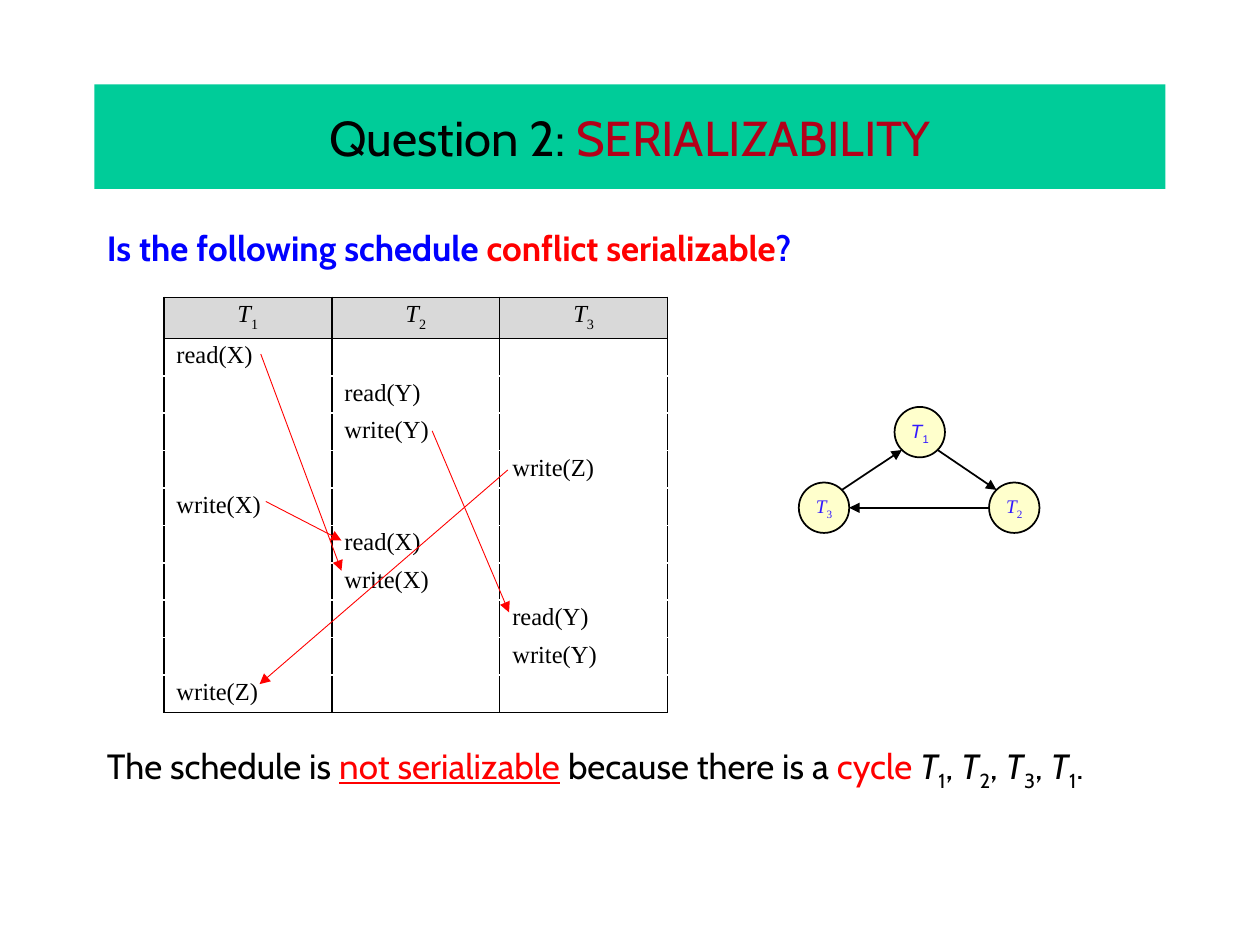
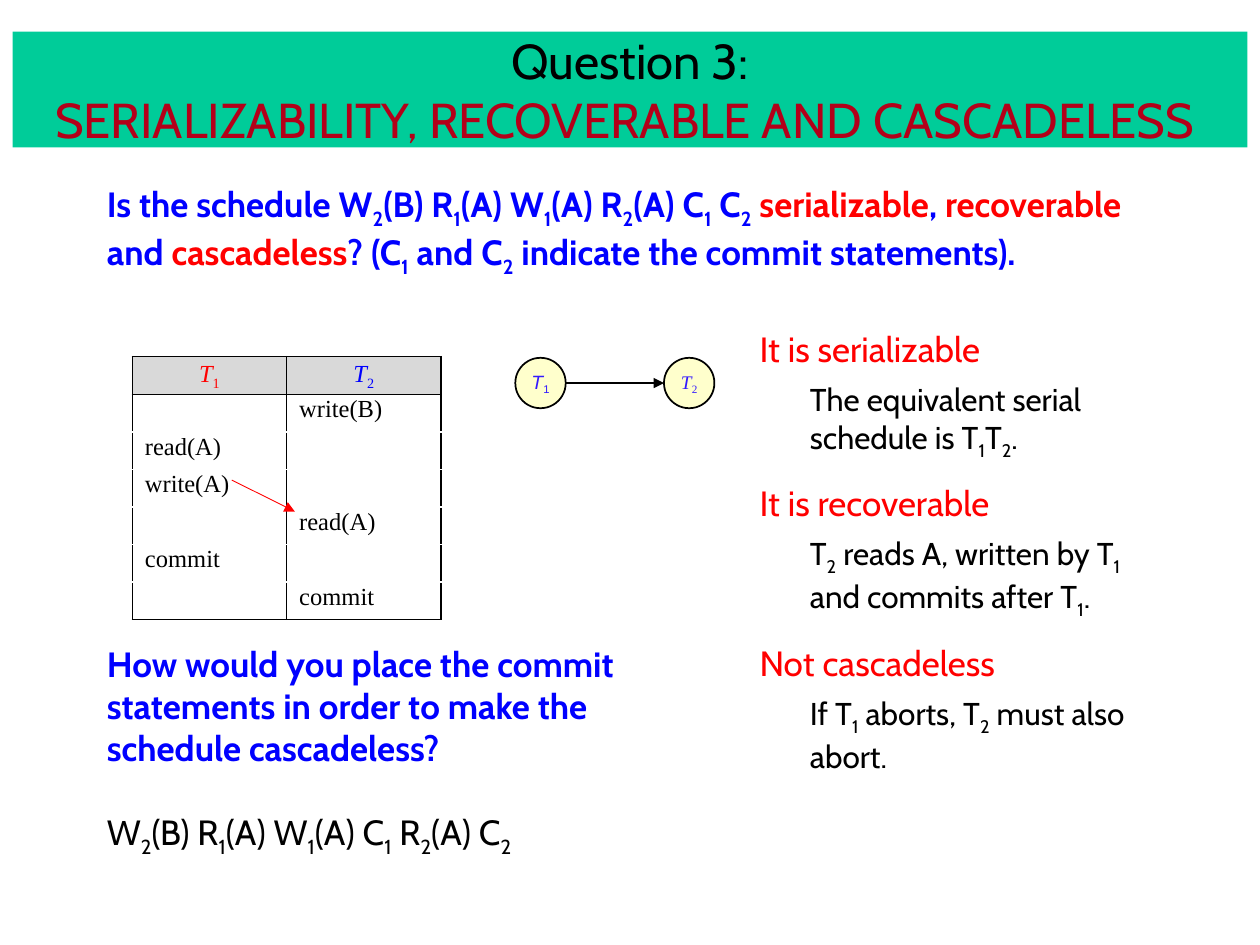
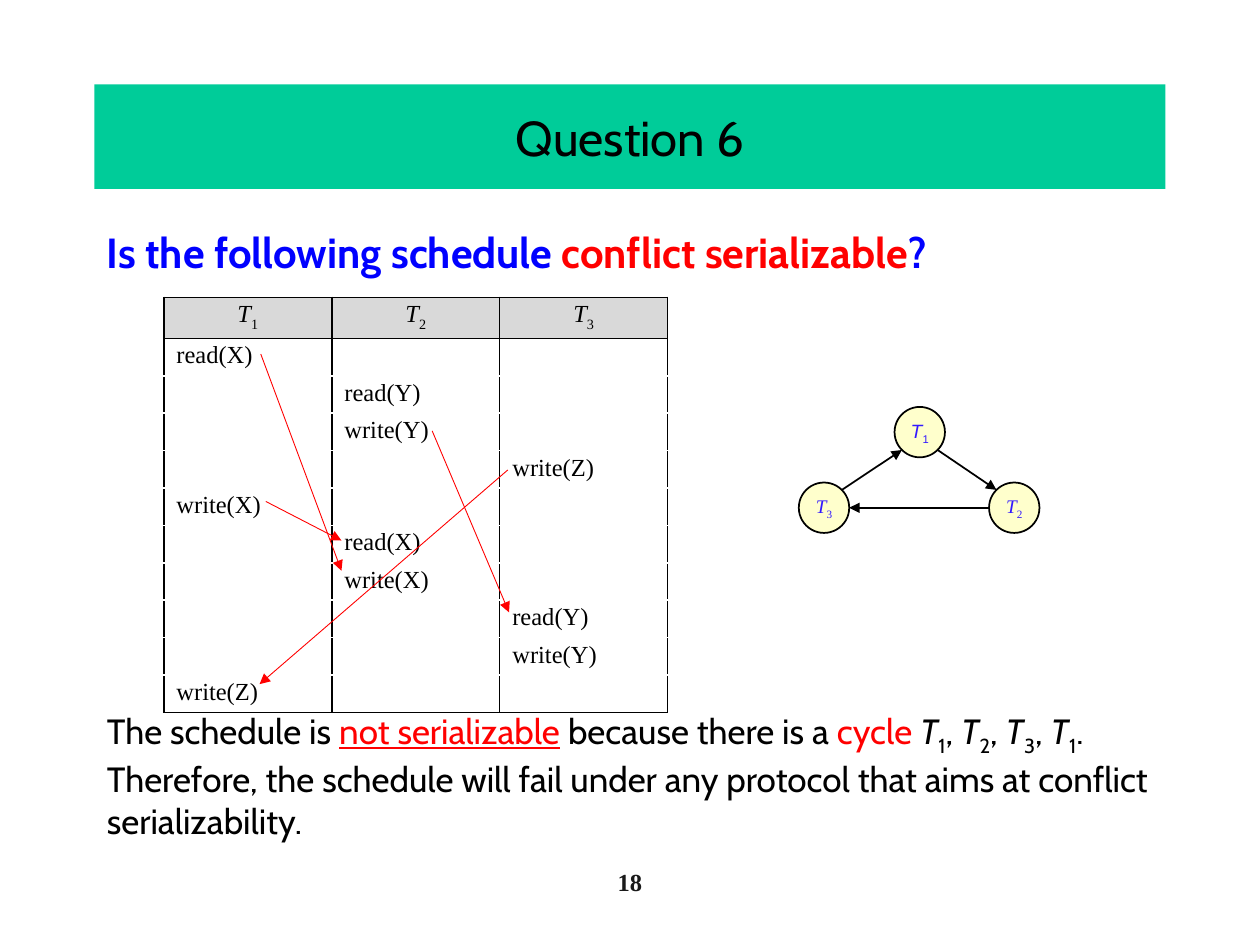
import itertools
import math

import lxml.etree
import pptx
import pptx.dml.color
import pptx.enum.shapes
import pptx.enum.text
import pptx.oxml.ns
import pptx.util

WIDTH, HEIGHT = 10, 7.5
COLUMNS = 100
UNIT = WIDTH / COLUMNS

BLACK, WHITE, RED, BLUE = "000000", "FFFFFF", "FF0000", "0000FF"
BAND, CRIMSON, HEADER_GRAY = "00CC99", "B30019", "D9D9D9"
NODE_FILL, NODE_TEXT, PAGE_TEXT = "FFFFCC", "3319FF", "1A1A1A"

TITLE = {"name": "Cabin", "size": pptx.util.Pt(28), "color": BLACK}
ANSWER = {"name": "Cabin", "size": pptx.util.Pt(20), "color": BLACK}
DETAIL = ANSWER | {"size": pptx.util.Pt(18)}
QUESTION = ANSWER | {"color": BLUE, "bold": True}
LARGE_QUESTION = QUESTION | {"size": pptx.util.Pt(24)}
CELL = {"name": "Times New Roman", "size": pptx.util.Pt(14), "color": BLACK}
NODE = {"size": pptx.util.Pt(11), "color": NODE_TEXT, "italic": True}
PAGE = CELL | {"color": PAGE_TEXT, "bold": True}

IN_RED = {"color": RED}
ITALIC = {"italic": True}
CENTERED = {"alignment": pptx.enum.text.PP_ALIGN.CENTER}
MIDDLE = {"vertical_anchor": pptx.enum.text.MSO_ANCHOR.MIDDLE}

TITLE_PLACE = (7.5, 6.7, 85, 8.3)
BODY_PLACE = (7.5, 17.5, 85, 48.3)
NODE_SIZE = 4

CONFLICT_QUESTION = [("Is the following schedule ", {}), ("conflict serializable", IN_RED), ("?", {})]
CYCLE_ANSWER = [
    ("The schedule is ", {}),
    ("not serializable", IN_RED | {"underline": True}),
    (" because there is a ", {}),
    ("cycle ", IN_RED),
    ("T_1", ITALIC), (", ", {}),
    ("T_2", ITALIC), (", ", {}),
    ("T_3", ITALIC), (", ", {}),
    ("T_1", ITALIC),
]
CYCLE_STEPS = [
    (0, "read(X)"), (1, "read(Y)"), (1, "write(Y)"), (2, "write(Z)"), (0, "write(X)"),
    (1, "read(X)"), (1, "write(X)"), (2, "read(Y)"), (2, "write(Y)"), (0, "write(Z)"),
]
CYCLE_CONFLICTS = [
    ((20.7, 28.1), (27.1, 45.3)),
    ((21.1, 39.8), (27.1, 42.9)),
    ((34.3, 34.2), (40.4, 48.6)),
    ((40.3, 37.3), (20.6, 54.3)),
]
CYCLE_NODES = {1: (73, 34.3), 2: (80.5, 40.3), 3: (65.4, 40.3)}
CASCADE_STEPS = [
    (1, "write(B)"), (0, "read(A)"), (0, "write(A)"),
    (1, "read(A)"), (0, "commit"), (1, "commit"),
]
VERDICTS = [
    ("It is serializable", "The equivalent serial schedule is T_1T_2."),
    ("It is recoverable", "T_2 reads A, written by T_1 and commits after T_1."),
    ("Not cascadeless", "If T_1 aborts, T_2 must also abort."),
]


def grid(*lengths):
    """Turn grid units into slide lengths."""
    return [pptx.util.Inches(length * UNIT) for length in lengths]


def rgb(color):
    """Turn a hex string into a colour."""
    return pptx.dml.color.RGBColor.from_string(color)


def apply_format(target, values):
    """Set every named attribute of the target."""
    for name, value in values.items():
        setattr(target, name, value)


def split_subscripts(text):
    """Yield text parts, with a flag for the digit after each underscore."""
    first, *others = text.split("_")
    yield first, False
    for part in others:
        yield part[0], True
        yield part[1:], False


def write_runs(paragraph, pieces, base, layout=None):
    """Fill a paragraph with formatted pieces and subscripts."""
    apply_format(paragraph, layout or {})
    for text, changes in pieces:
        if text == "\n":
            paragraph.add_line_break()
            continue
        values = base | changes
        color = values.pop("color")
        for part, lowered in split_subscripts(text):
            if not part:
                continue
            run = paragraph.add_run()
            run.text = part
            apply_format(run.font, values)
            run.font.color.rgb = rgb(color)
            if lowered:
                run.font.italic = False
                run._r.get_or_add_rPr().set("baseline", "-25000")


def add_text(slide, place, pieces, base, layout=None):
    """Add a wrapping text box and return its frame."""
    frame = slide.shapes.add_textbox(*grid(*place)).text_frame
    frame.word_wrap = True
    write_runs(frame.paragraphs[0], pieces, base, layout)
    return frame


def add_panel(slide, kind, place, fill):
    """Add a filled preset shape without line or shadow."""
    shape = slide.shapes.add_shape(kind, *grid(*place))
    shape.shadow.inherit = False
    shape.fill.solid()
    shape.fill.fore_color.rgb = rgb(fill)
    shape.line.fill.background()
    return shape


def add_title(slide, pieces, place=TITLE_PLACE):
    """Add the title band."""
    band = add_panel(slide, pptx.enum.shapes.MSO_SHAPE.RECTANGLE, place, BAND)
    apply_format(band.text_frame, MIDDLE | {"word_wrap": True})
    write_runs(band.text_frame.paragraphs[0], pieces, TITLE, CENTERED)


def add_node(slide, number, center):
    """Add a transaction node around its center."""
    left, top = (value - NODE_SIZE / 2 for value in center)
    place = (left, top, NODE_SIZE, NODE_SIZE)
    node = add_panel(slide, pptx.enum.shapes.MSO_SHAPE.OVAL, place, NODE_FILL)
    node.line.color.rgb = rgb(BLACK)
    node.line.width = pptx.util.Pt(1)
    apply_format(node.text_frame, MIDDLE | {"word_wrap": False, "margin_left": 0, "margin_right": 0})
    font = "Arial" if number == 1 else "Times New Roman"
    write_runs(node.text_frame.paragraphs[0], [(f"T_{number}", {})], NODE | {"name": font}, CENTERED)


def add_arrow(slide, start, end, color, width):
    """Add a straight arrow between two grid points."""
    straight = pptx.enum.shapes.MSO_CONNECTOR.STRAIGHT
    arrow = slide.shapes.add_connector(straight, *grid(*start, *end))
    arrow.line.color.rgb = rgb(color)
    arrow.line.width = pptx.util.Pt(width)
    name = pptx.oxml.ns.qn
    lxml.etree.SubElement(arrow.line._get_or_add_ln(), name("a:tailEnd"), type="triangle")
    lxml.etree.SubElement(arrow._element.spPr, name("a:effectLst"))


def add_conflicts(slide, conflicts):
    """Draw red arrows between conflicting operations."""
    for start, end in conflicts:
        add_arrow(slide, start, end, RED, 0.5)


def add_graph(slide, nodes, edges):
    """Draw a precedence graph with arrows from rim to rim."""
    for number, center in nodes.items():
        add_node(slide, number, center)
    for source, target in edges:
        pairs = list(zip(nodes[source], nodes[target]))
        signs = [(end > start) - (end < start) for start, end in pairs]
        reach = NODE_SIZE / 2 / math.hypot(*signs)
        start = [value + sign * reach for value, sign in zip(nodes[source], signs)]
        end = [value - sign * reach for value, sign in zip(nodes[target], signs)]
        add_arrow(slide, start, end, BLACK, 1)


def set_borders(cell, colors):
    """Give a cell its left, right, top and bottom borders."""
    properties = cell._tc.get_or_add_tcPr()
    name = pptx.oxml.ns.qn
    for index, (side, color) in enumerate(zip("LRTB", colors)):
        line = lxml.etree.Element(name(f"a:ln{side}"), w=str(pptx.util.Pt(1)))
        fill = lxml.etree.SubElement(line, name("a:solidFill"))
        lxml.etree.SubElement(fill, name("a:srgbClr"), val=color)
        properties.insert(index, line)


def add_schedule(slide, place, header_height, steps, header_colors, spacing=1.0):
    """Add a schedule table with one operation per row."""
    left, top, width, height = place
    count = len(header_colors)
    shape = slide.shapes.add_table(len(steps) + 1, count, *grid(left, top, width, height))
    table = shape.table
    apply_format(table, {"first_row": False, "horz_banding": False})
    for column in table.columns:
        column.width = grid(width / count)[0]
    for row in table.rows:
        row.height = grid((height - header_height) / len(steps))[0]
    table.rows[0].height = grid(header_height)[0]
    margins = dict(zip(("margin_left", "margin_top", "margin_right", "margin_bottom"), grid(1, 0.3, 1, 0.3)))
    operations = {(row, column): text for row, (column, text) in enumerate(steps, 1)}
    for row, column in itertools.product(range(len(steps) + 1), range(count)):
        cell = table.cell(row, column)
        apply_format(cell, margins)
        paragraph = cell.text_frame.paragraphs[0]
        layout = {"line_spacing": spacing}
        if row == 0:
            cell.fill.solid()
            cell.fill.fore_color.rgb = rgb(HEADER_GRAY)
            heading = CELL | ITALIC | {"color": header_colors[column]}
            write_runs(paragraph, [(f"T_{column + 1}", {})], heading, layout | CENTERED)
        else:
            cell.fill.background()
            write_runs(paragraph, [(operations.get((row, column), ""), {})], CELL, layout)
        paragraph._p.get_or_add_endParaRPr().set("sz", "1400")
        upper = BLACK if row <= 1 else WHITE
        lower = BLACK if row in (0, len(steps)) else WHITE
        set_borders(cell, (BLACK, BLACK, upper, lower))


def add_cycle_slide(slide, title, question, answer_top, ending):
    """Build a slide on the schedule whose graph has a cycle."""
    add_title(slide, title)
    add_text(slide, BODY_PLACE, CONFLICT_QUESTION, question)
    add_schedule(slide, (13, 23.6, 40, 32.7), 3, CYCLE_STEPS, [BLACK] * 3)
    add_text(slide, (7.5, answer_top, 85, 12.2), CYCLE_ANSWER + [(ending, {})], ANSWER)
    add_graph(slide, CYCLE_NODES, [(3, 1), (1, 2), (2, 3)])
    add_conflicts(slide, CYCLE_CONFLICTS)


def add_verdicts(slide, place):
    """List each verdict with its indented reason."""
    frame = add_text(slide, place, [], ANSWER)
    for index, (verdict, reason) in enumerate(VERDICTS):
        heading = frame.add_paragraph() if index else frame.paragraphs[0]
        gap = pptx.util.Pt(12 if index else 0)
        write_runs(heading, [(verdict, IN_RED)], ANSWER, {"space_before": gap})
        detail = frame.add_paragraph()
        write_runs(detail, [(reason, {})], DETAIL, {"space_before": pptx.util.Pt(6)})
        detail._p.get_or_add_pPr().set("marL", str(grid(4)[0]))


def add_cascade_slide(slide):
    """Build the slide on recoverable and cascadeless schedules."""
    title = [
        ("Question 3:", {}), ("\n", {}),
        ("SERIALIZABILITY, RECOVERABLE AND CASCADELESS ", {"color": CRIMSON}),
    ]
    add_title(slide, title, (1, 2.5, 98, 9.2))
    question = [
        ("Is the schedule W_2(B) R_1(A) W_1(A) R_2(A) C_1 C_2 ", {}),
        ("serializable", IN_RED), (", ", {}),
        ("recoverable", IN_RED), (" and ", {}),
        ("cascadeless", IN_RED),
        ("? (C_1 and C_2 indicate the commit statements).", {}),
    ]
    add_text(slide, (7.5, 14, 85, 11.1), question, QUESTION)
    add_schedule(slide, (10.5, 28.3, 24.5, 20.7), 2.8, CASCADE_STEPS, [RED, BLUE], 0.9)
    add_graph(slide, {1: (42.9, 30.4), 2: (54.7, 30.4)}, [(1, 2)])
    add_conflicts(slide, [((18.4, 38.1), (23.4, 40.6))])
    add_verdicts(slide, (59.3, 25.5, 33.2, 34.6))
    prompt = "How would you place the commit statements in order to make the schedule cascadeless?"
    frame = add_text(slide, (7.5, 50.5, 46, 18.5), [(prompt, {})], QUESTION)
    solution = [("W_2(B) R_1(A) W_1(A) C_1 R_2(A) C_2", {})]
    write_runs(frame.add_paragraph(), solution, ANSWER, {"space_before": pptx.util.Pt(24)})


def main():
    """Build and save the presentation."""
    presentation = pptx.Presentation()
    presentation.slide_width = pptx.util.Inches(WIDTH)
    presentation.slide_height = pptx.util.Inches(HEIGHT)
    blank = presentation.slide_layouts[6]
    cycle, cascade, protocol = (presentation.slides.add_slide(blank) for _ in range(3))

    title = [("Question 2: ", {}), ("SERIALIZABILITY", {"color": CRIMSON})]
    add_cycle_slide(cycle, title, QUESTION, 58.6, ".")
    add_cascade_slide(cascade)
    ending = ". Therefore, the schedule will fail under any protocol that aims at conflict serializability."
    add_cycle_slide(protocol, [("Question 6", {})], LARGE_QUESTION, 55.8, ending)
    add_text(protocol, (5, 68.3, 90, 5), [("18", {})], PAGE, CENTERED)
    presentation.save("out.pptx")


if __name__ == "__main__":
    main()
